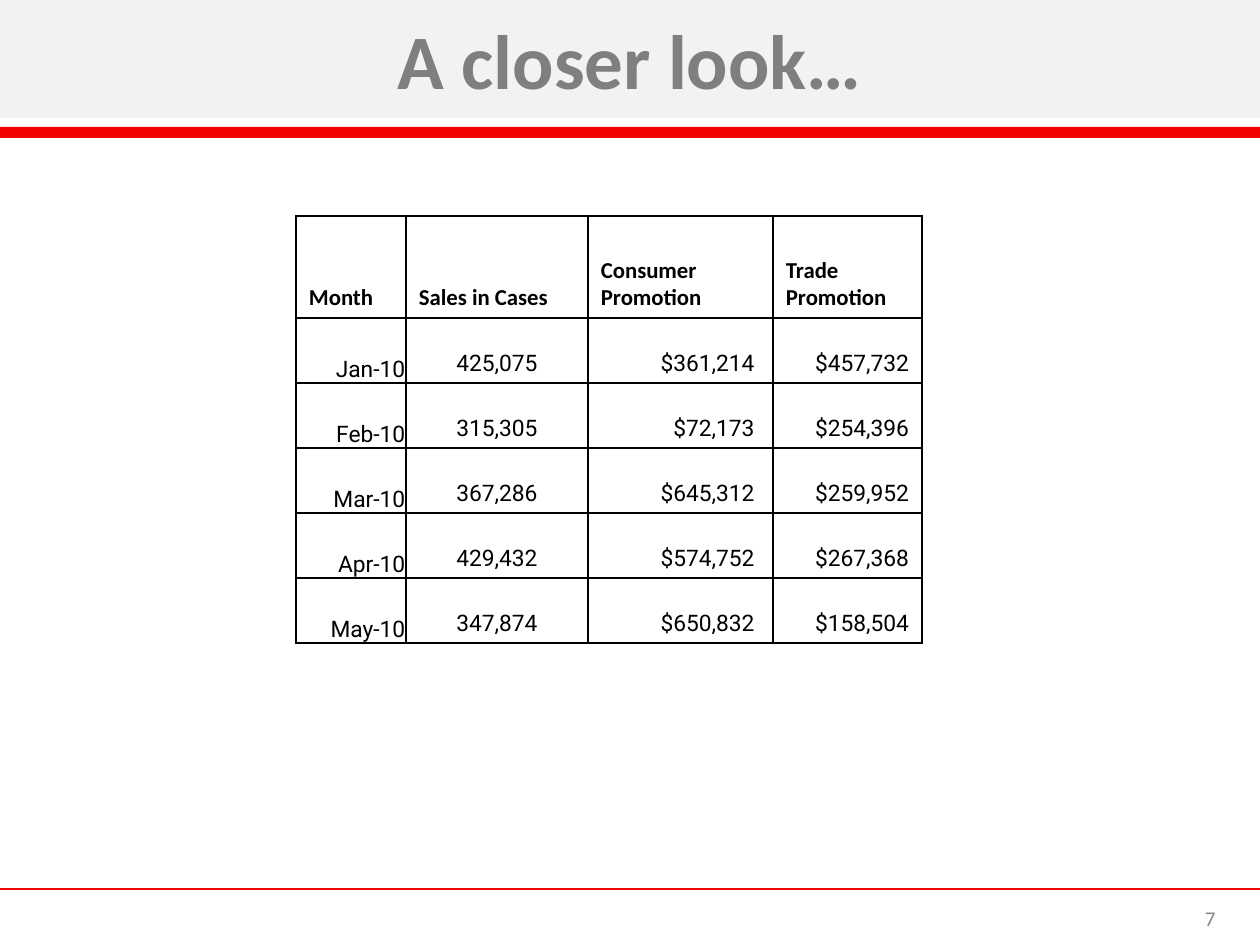
"""Build the slide with a table of monthly sales and promotion spending."""
from lxml.etree import SubElement
from pptx import Presentation
from pptx.dml.color import RGBColor
from pptx.enum.shapes import MSO_CONNECTOR, MSO_SHAPE
from pptx.enum.text import MSO_ANCHOR, MSO_AUTO_SIZE, PP_ALIGN
from pptx.oxml import parse_xml
from pptx.oxml.ns import nsdecls, qn
from pptx.util import Emu, Pt

SCALE = 914400 / 126
THEME = {
    "red": "F20000", "band": "F2F2F2", "head": "7F7F7F", "ink": "000000", "page": "888888",
    "font": "Calibri", "data": "Roboto",
    "big": 44, "cell": 13, "small": 12, "rule": 0.75, "edge": 1,
}
LEFT, MID, RIGHT = PP_ALIGN.LEFT, PP_ALIGN.CENTER, PP_ALIGN.RIGHT


def px(*nums):
    """Turn px into EMU."""
    return [Emu(round(num * SCALE)) for num in nums]


def write(frame, text, align, size, tint, bold=False, font="font"):
    """Put one styled paragraph in a text frame."""
    para = frame.paragraphs[0]
    para.alignment = align
    run = para.add_run()
    run.text = text
    form = {"name": THEME[font], "size": Pt(THEME[size]), "bold": bold}
    for key, val in form.items():
        setattr(run.font, key, val)
    run.font.color.rgb = RGBColor.from_string(THEME[tint])


deck = Presentation()
deck.slide_width, deck.slide_height = px(1260, 945)
slide = deck.slides.add_slide(deck.slide_layouts[5])
shapes = slide.shapes

rule = shapes.add_connector(MSO_CONNECTOR.STRAIGHT, *px(0, 889, 1260, 889))
rule.line.color.rgb = RGBColor.from_string(THEME["red"])
rule.line.width = Pt(THEME["rule"])
SubElement(rule._element.spPr, qn("a:effectLst"))

bar = shapes.add_shape(MSO_SHAPE.RECTANGLE, *px(0, 127, 1260, 11))
bar.shadow.inherit = False
bar.fill.solid()
bar.fill.fore_color.rgb = RGBColor.from_string(THEME["red"])
bar.line.fill.background()

title = shapes.title
spot = dict(zip(("left", "top", "width", "height"), px(0, -1, 1260, 119)))
for key, val in spot.items():
    setattr(title, key, val)
title.fill.solid()
title.fill.fore_color.rgb = RGBColor.from_string(THEME["band"])
write(title.text_frame, "A closer look…", MID, "big", "head", bold=True)

number = shapes.add_textbox(*px(1081, 901, 147, 34))
write(number.text_frame, "7", RIGHT, "small", "page")

form = {"auto_size": MSO_AUTO_SIZE.NONE, "word_wrap": True, "vertical_anchor": MSO_ANCHOR.MIDDLE}
for box in (title, number):
    for key, val in form.items():
        setattr(box.text_frame, key, val)

rows = [
    ("Month", "Sales in Cases", "Consumer Promotion", "Trade Promotion"),
    ("Jan-10", "425,075", "$361,214 ", "$457,732"),
    ("Feb-10", "315,305", "$72,173 ", "$254,396"),
    ("Mar-10", "367,286", "$645,312 ", "$259,952"),
    ("Apr-10", "429,432", "$574,752 ", "$267,368"),
    ("May-10", "347,874", "$650,832 ", "$158,504"),
]
wide = [110, 182, 185, 149]
tall = [102] + [65] * 5
aligns = [RIGHT, MID, RIGHT, RIGHT]
sides = ("margin_left", "margin_top", "margin_right", "margin_bottom")

grid = shapes.add_table(len(rows), len(wide), *px(296, 216, sum(wide), sum(tall))).table
grid.first_row = grid.horz_banding = False
for col, size in zip(grid.columns, px(*wide)):
    col.width = size
for row, size in zip(grid.rows, px(*tall)):
    row.height = size

for r, row in enumerate(rows):
    for c, text in enumerate(row):
        cell = grid.cell(r, c)
        cell.fill.background()
        cell.vertical_anchor = MSO_ANCHOR.BOTTOM
        gaps = (1, 1, 1, 0) if r and c == 0 else (13, 6, 13, 6)
        for side, gap in zip(sides, px(*gaps)):
            setattr(cell, side, gap)
        if r:
            write(cell.text_frame, text, aligns[c], "cell", "ink", font="data")
        else:
            write(cell.text_frame, text, LEFT, "cell", "ink", bold=True)
        props = cell._tc.get_or_add_tcPr()
        for i, tag in enumerate(("lnL", "lnR", "lnT", "lnB")):
            props.insert(i, parse_xml(
                f'<a:{tag} {nsdecls("a")} w="{Pt(THEME["edge"])}"><a:solidFill>'
                f'<a:srgbClr val="{THEME["ink"]}"/></a:solidFill></a:{tag}>'))

deck.save("out.pptx")
